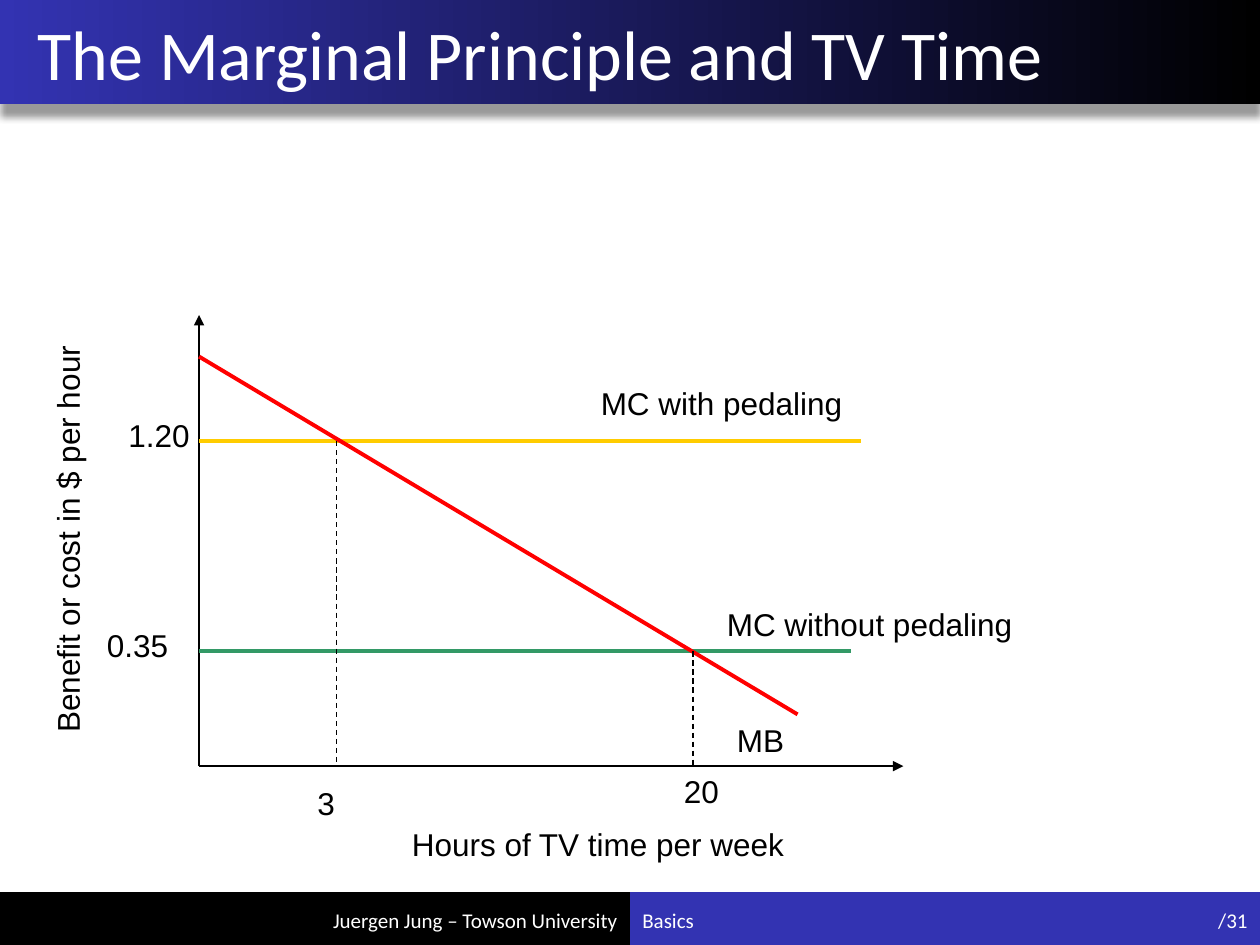
"""Build the slide on the marginal principle and TV time."""
import dataclasses

import lxml.etree
import pptx
import pptx.dml.color
import pptx.enum.dml
import pptx.enum.shapes
import pptx.enum.text
import pptx.oxml
import pptx.oxml.ns
import pptx.util

Inches = pptx.util.Inches
Align = pptx.enum.text.PP_ALIGN
Anchor = pptx.enum.text.MSO_ANCHOR

WHITE, BLACK, BLUE = "FFFFFF", "000000", "3333B2"
ORIGIN_X, ORIGIN_Y = 1.58, 6.08
COST_WITH, COST_WITHOUT = 3.5, 5.17
HOURS_WITH, HOURS_WITHOUT = 2.67, 5.5
BAR_TOP, BAR_HEIGHT = 7.08, 0.42
HEADER_HEIGHT = 0.83


@dataclasses.dataclass
class Label:
    text: str
    left: float
    top: float
    width: float
    size: float = 18
    font: str = "Arial"
    color: str = BLACK
    align: Align = Align.LEFT
    anchor: Anchor = Anchor.TOP
    rotation: float = 0


@dataclasses.dataclass
class Line:
    start: tuple[float, float]
    end: tuple[float, float]
    color: str = BLACK
    width: float = 0.75
    arrow: bool = False
    dashed: bool = False


LINES = [
    Line((ORIGIN_X, ORIGIN_Y), (ORIGIN_X, 2.5), arrow=True),
    Line((ORIGIN_X, ORIGIN_Y), (7.17, ORIGIN_Y), arrow=True),
    Line((ORIGIN_X, COST_WITH), (6.83, COST_WITH), "FFCC00", 2.25),
    Line((ORIGIN_X, COST_WITHOUT), (6.75, COST_WITHOUT), "339966", 2.25),
    Line((ORIGIN_X, 2.83), (6.33, 5.67), "FF0000", 2.25),
    Line((HOURS_WITH, COST_WITH), (HOURS_WITH, ORIGIN_Y), dashed=True),
    Line((HOURS_WITHOUT, COST_WITHOUT), (HOURS_WITHOUT, ORIGIN_Y), dashed=True),
]

CHART_LABELS = [
    Label("MC with pedaling", 4.67, 3, 2.67),
    Label("MC without pedaling", 5.67, 4.75, 2.92),
    Label("MB", 5.75, 5.67, 2.25),
    Label("1.20", 0.92, 3.25, 0.92),
    Label("0.35", 0.75, 4.92, 1.67),
    Label("Benefit or cost in $ per hour", -1.55, 3.63, 4.17, rotation=270),
    Label("Hours of TV time per week", 3.17, 6.5, 3.92),
    Label("3", 2.42, 6.17, 0.92),
    Label("20", 5.33, 6.08, 1.17),
]

FOOTER_LABELS = [
    Label(text, left, 7.1, width, 12, "Calibri", WHITE, align, Anchor.MIDDLE)
    for text, left, width, align in [
        ("Juergen Jung – Towson University", 1.17, 3.83, Align.RIGHT),
        ("Basics", 5, 3.83, Align.LEFT),
        ("/31", 8.83, 1.17, Align.RIGHT),
    ]
]


def rgb(color: str) -> pptx.dml.color.RGBColor:
    return pptx.dml.color.RGBColor.from_string(color)


def style_font(paragraph, size: float, name: str, color: str) -> None:
    for run in paragraph.runs:
        run.font.size = pptx.util.Pt(size)
        run.font.name = name
        run.font.color.rgb = rgb(color)


def add_bar(slide, left: float, top: float, width: float, height: float, color: str):
    bar = slide.shapes.add_shape(
        pptx.enum.shapes.MSO_SHAPE.RECTANGLE,
        Inches(left), Inches(top), Inches(width), Inches(height))
    bar.shadow.inherit = False
    bar.fill.solid()
    bar.fill.fore_color.rgb = rgb(color)
    bar.line.fill.background()
    return bar


def add_header(slide) -> None:
    header = add_bar(slide, 0, 0, 10, HEADER_HEIGHT, BLACK)
    header.fill.gradient()
    header.fill.gradient_angle = 180
    for stop, color in zip(header.fill.gradient_stops, (BLACK, BLUE)):
        stop.color.rgb = rgb(color)
    effects = header._element.spPr.find(pptx.oxml.ns.qn("a:effectLst"))
    effects.append(pptx.oxml.parse_xml(
        f'<a:outerShdw {pptx.oxml.ns.nsdecls("a")} blurRad="{pptx.util.Pt(4)}" '
        f'dist="{pptx.util.Pt(7)}" dir="5400000" algn="t" rotWithShape="0">'
        '<a:srgbClr val="000000"><a:alpha val="40000"/></a:srgbClr></a:outerShdw>'))


def place_title(slide, text: str) -> None:
    title = slide.shapes.title
    title.left, title.top = Inches(0), Inches(0)
    title.width, title.height = Inches(9.75), Inches(HEADER_HEIGHT)
    frame = title.text_frame
    frame.text = text
    frame.margin_left = Inches(0.3)
    frame.vertical_anchor = Anchor.MIDDLE
    frame.paragraphs[0].alignment = Align.LEFT
    style_font(frame.paragraphs[0], 40, "Calibri", WHITE)
    slide.shapes._spTree.append(title._element)


def add_label(slide, label: Label) -> None:
    box = slide.shapes.add_textbox(
        Inches(label.left), Inches(label.top), Inches(label.width), Inches(0.4))
    box.rotation = label.rotation
    frame = box.text_frame
    frame.word_wrap = True
    frame.vertical_anchor = label.anchor
    frame.text = label.text
    frame.paragraphs[0].alignment = label.align
    style_font(frame.paragraphs[0], label.size, label.font, label.color)


def add_line(slide, line: Line) -> None:
    connector = slide.shapes.add_connector(
        pptx.enum.shapes.MSO_CONNECTOR.STRAIGHT,
        *(Inches(value) for value in line.start + line.end))
    connector.line.color.rgb = rgb(line.color)
    connector.line.width = pptx.util.Pt(line.width)
    if line.dashed:
        connector.line.dash_style = pptx.enum.dml.MSO_LINE.DASH
    properties = connector._element.spPr
    if line.arrow:
        outline = properties.find(pptx.oxml.ns.qn("a:ln"))
        lxml.etree.SubElement(outline, pptx.oxml.ns.qn("a:tailEnd"), type="triangle")
    lxml.etree.SubElement(properties, pptx.oxml.ns.qn("a:effectLst"))


def main() -> None:
    presentation = pptx.Presentation()
    presentation.slide_width, presentation.slide_height = Inches(10), Inches(7.5)
    slide = presentation.slides.add_slide(presentation.slide_layouts[5])
    slide.background.fill.solid()
    slide.background.fill.fore_color.rgb = rgb(WHITE)
    add_bar(slide, 5, BAR_TOP, 5, BAR_HEIGHT, BLUE)
    add_bar(slide, 0, BAR_TOP, 5, BAR_HEIGHT, BLACK)
    add_header(slide)
    place_title(slide, "The Marginal Principle and TV Time")
    for line in LINES:
        add_line(slide, line)
    for label in FOOTER_LABELS + CHART_LABELS:
        add_label(slide, label)
    presentation.save("out.pptx")


if __name__ == "__main__":
    main()
